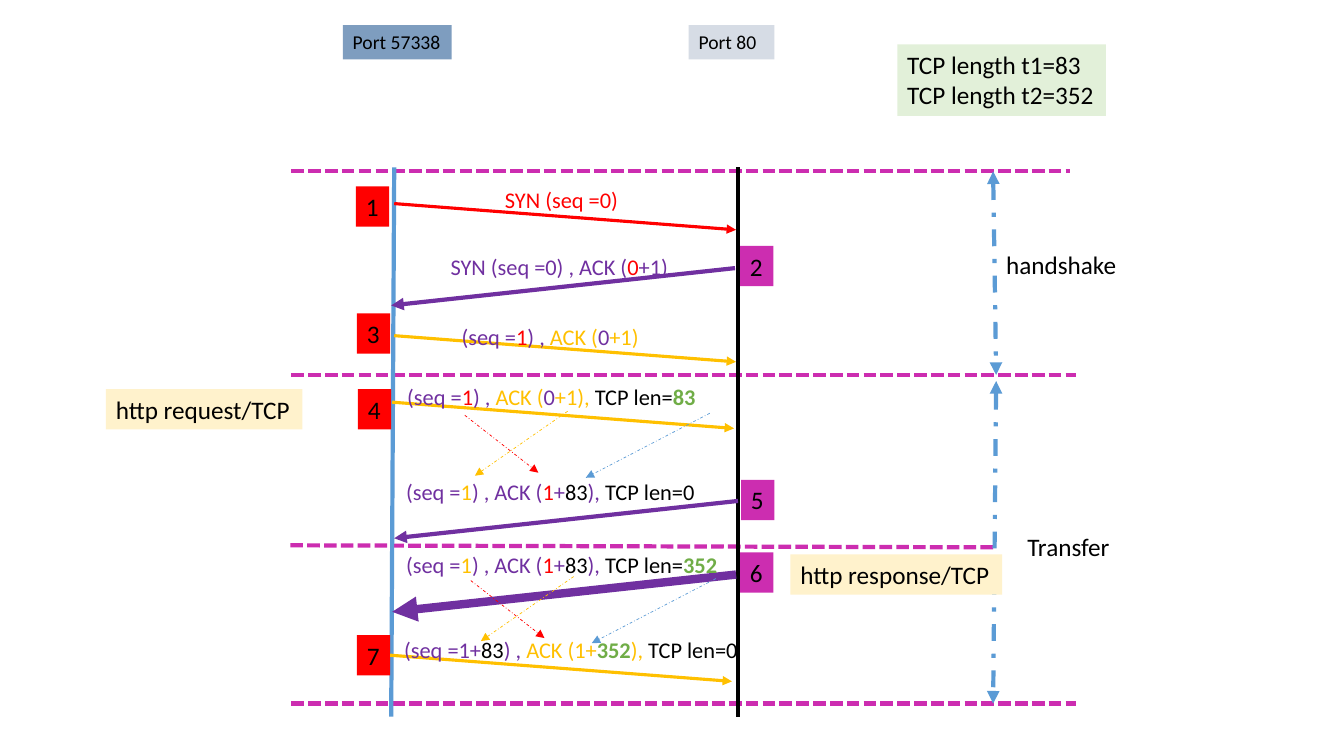
"""Build a slide showing the TCP handshake and transfer between two ports."""
from lxml import etree
from pptx import Presentation
from pptx.dml.color import RGBColor
from pptx.enum.dml import MSO_LINE
from pptx.enum.shapes import MSO_CONNECTOR, MSO_SHAPE
from pptx.enum.text import MSO_AUTO_SIZE, MSO_VERTICAL_ANCHOR, PP_ALIGN
from pptx.oxml.ns import qn
from pptx.util import Inches, Pt

STRAIGHT = MSO_CONNECTOR.STRAIGHT
RECTANGLE = MSO_SHAPE.RECTANGLE
SHORT_DASH = MSO_LINE.SQUARE_DOT
DASH_DOT = MSO_LINE.DASH_DOT
FIT = MSO_AUTO_SIZE.SHAPE_TO_FIT_TEXT
LEFT = PP_ALIGN.LEFT
TOP = MSO_VERTICAL_ANCHOR.TOP

BLACK = RGBColor(0x00, 0x00, 0x00)
RED = RGBColor(0xFF, 0x00, 0x00)
PURPLE = RGBColor(0x70, 0x30, 0xA0)
GOLD = RGBColor(0xFF, 0xC0, 0x00)
GREEN = RGBColor(0x70, 0xAD, 0x47)
BLUE = RGBColor(0x5B, 0x9B, 0xD5)
MAGENTA = RGBColor(0xCC, 0x2D, 0xB0)
STEEL = RGBColor(0x7E, 0x9D, 0xBF)
MIST = RGBColor(0xD6, 0xDC, 0xE5)
CREAM = RGBColor(0xFF, 0xF2, 0xCC)
MINT = RGBColor(0xE2, 0xF0, 0xD9)

ACK_OF_83 = [("(seq =", PURPLE), ("1", GOLD), (") , ACK (", PURPLE), ("1", RED),
             ("+", PURPLE), ("83", BLACK), ("), ", PURPLE)]
SEQ_1 = [("(seq =", PURPLE), ("1", RED), (") , ", PURPLE), ("ACK (", GOLD), ("0", PURPLE)]

# number, arrow start, badge corner, label (left, top, width), colour, weight, runs
MESSAGES = [
    (1, (0.03, 0.36), (-0.35, 0.19), (1.03, 0.14, 1.7), RED, 2.25,
     [("SYN (seq =0)", RED)]),
    (2, (3.41, 1.0), (3.46, 0.78), (0.49, 0.8, 2.61), PURPLE, 3,
     [("SYN (seq =0) , ACK (", PURPLE), ("0", RED), ("+1)", PURPLE)]),
    (3, (0.03, 1.67), (-0.34, 1.45), (0.6, 1.5, 2.2), GOLD, 2.25,
     SEQ_1 + [("+1)", GOLD)]),
    (4, (0.01, 2.33), (-0.33, 2.2), (0.06, 2.09, 3.39), GOLD, 2.25,
     SEQ_1 + [("+1), ", GOLD), ("TCP len=", BLACK), ("83", GREEN)]),
    (5, (3.44, 3.31), (3.47, 3.1), (0.05, 3.03, 3.37), PURPLE, 3,
     ACK_OF_83 + [("TCP len=0", BLACK)]),
    (6, (3.42, 4.04), (3.46, 3.82), (0.05, 3.76, 3.53), PURPLE, 6,
     ACK_OF_83 + [("TCP len=", BLACK), ("352", GREEN)]),
    (7, (-0.01, 4.84), (-0.34, 4.64), (0.03, 4.6, 3.69), GOLD, 2.25,
     [("(seq =1+", PURPLE), ("83", BLACK), (") , ", PURPLE), ("ACK (1+", GOLD),
      ("352", GREEN), ("), ", GOLD), ("TCP len=0", BLACK)]),
]
JOINED_MESSAGE = 7
TRACES = [
    (0.73, 2.46, 1.46, 3.03, RED),
    (3.16, 2.44, 1.93, 3.08, BLUE),
    (1.75, 2.42, 0.83, 3.06, GOLD),
]


def add_line(slide, x1, y1, x2, y2, color, weight, dash=None, ends=()):
    """Draw a straight line with optional dash and arrowheads."""
    line = slide.shapes.add_connector(STRAIGHT, Inches(x1), Inches(y1), Inches(x2), Inches(y2))
    line.line.color.rgb = color
    line.line.width = Pt(weight)
    if dash is not None:
        line.line.dash_style = dash
    for end in ends:
        etree.SubElement(line.get_or_add_ln(), qn(end), type="triangle")
    etree.SubElement(line._element.spPr, qn("a:effectLst"))
    return line


def add_label(slide, left, top, width, height, paragraphs, size=18, fill=None, wrap=False):
    """Place coloured text, on a filled rectangle when a fill is given."""
    box = Inches(left), Inches(top), Inches(width), Inches(height)
    if fill is None:
        label = slide.shapes.add_textbox(*box)
    else:
        label = slide.shapes.add_shape(RECTANGLE, *box)
        label.shadow.inherit = False
        label.fill.solid()
        label.fill.fore_color.rgb = fill
        label.line.fill.background()
    frame = label.text_frame
    frame.word_wrap = wrap
    frame.auto_size = FIT
    frame.vertical_anchor = TOP
    for index, runs in enumerate(paragraphs):
        paragraph = frame.add_paragraph() if index else frame.paragraphs[0]
        paragraph.alignment = LEFT
        for text, color in runs:
            run = paragraph.add_run()
            run.text = text
            run.font.name = "Calibri"
            run.font.size = Pt(size)
            run.font.bold = color == GREEN
            run.font.color.rgb = color
    return label


def add_ports(slide, left, top):
    """Name the two ports above their lifelines."""
    for offset, width, name, fill in ((0, 1.08, "Port 57338", STEEL), (3.43, 0.85, "Port 80", MIST)):
        add_label(slide, left + offset, top, width, 0.34, [[(name, BLACK)]], 14, fill, True)


def add_phases(slide, left, top):
    """Mark the handshake and transfer phases with dividers and spans."""
    for x1, y1, x2, y2 in ((0.01, 0, 7.73, 0), (0.01, 2.02, 7.79, 2.02),
                           (0, 3.71, 6.97, 3.73), (0.01, 5.28, 7.79, 5.28)):
        add_line(slide, left + x1, top + y1, left + x2, top + y2, MAGENTA, 3, SHORT_DASH)
    for x1, y1, x2, y2 in ((6.97, 0, 7, 2.02), (7, 2.08, 6.97, 5.28)):
        add_line(slide, left + x1, top + y1, left + x2, top + y2, BLUE, 3, DASH_DOT,
                 ("a:headEnd", "a:tailEnd"))
    add_label(slide, left + 7, top + 0.72, 1.31, 0.4, [[("handshake", BLACK)]])
    add_label(slide, left + 7.21, top + 3.52, 1.31, 0.4, [[("Transfer", BLACK)]], wrap=True)


def add_message(slide, left, top, message):
    """Draw one numbered message with its badge, arrow and label."""
    number, (x, y), (badge_x, badge_y), (label_x, label_y, width), color, weight, runs = message
    from_client = number not in (2, 5, 6)
    run, drop = (3.39, 0.26) if from_client else (-3.41, 0.37)
    badge = add_label(slide, left + badge_x, top + badge_y, 0.33, 0.4,
                      [[(str(number), BLACK)]], fill=RED if from_client else MAGENTA)
    arrow = add_line(slide, left + x, top + y, left + x + run, top + y + drop,
                     color, weight, ends=("a:tailEnd",))
    if number == JOINED_MESSAGE:
        arrow.begin_connect(badge, 3)
    add_label(slide, left + label_x, top + label_y, width, 0.37, [runs], 16, wrap=True)


def add_exchange(slide, left, top):
    """Draw the lifelines, all messages and the value traces between them."""
    add_line(slide, left + 0.03, top, left, top + 5.45, BLUE, 3)
    add_line(slide, left + 3.44, top, left + 3.44, top + 5.45, BLACK, 3)
    for message in MESSAGES:
        add_message(slide, left, top, message)
    for dx, dy in ((0, 0), (0.06, 1.64)):
        for x1, y1, x2, y2, color in TRACES:
            add_line(slide, left + dx + x1, top + dy + y1, left + dx + x2, top + dy + y2,
                     color, 0.5, DASH_DOT, ("a:tailEnd",))


def add_notes(slide, left, top):
    """Place the HTTP captions and the length summary."""
    add_label(slide, left, top + 3.42, 1.95, 0.4, [[("http request/TCP", BLACK)]], fill=CREAM)
    add_label(slide, left + 6.79, top + 5.06, 2.1, 0.4, [[("http response/TCP", BLACK)]], fill=CREAM)
    add_label(slide, left + 7.85, top, 2.07, 0.71,
              [[("TCP length t1=83", BLACK)], [("TCP length t2=352", BLACK)]], fill=MINT)


def main():
    """Assemble and save the slide."""
    deck = Presentation()
    deck.slide_width, deck.slide_height = Inches(13.33), Inches(7.5)
    slide = deck.slides.add_slide(deck.slide_layouts[6])
    add_ports(slide, 3.4, 0.25)
    add_phases(slide, 2.88, 1.7)
    add_exchange(slide, 3.88, 1.66)
    add_notes(slide, 1.05, 0.44)
    deck.save("out.pptx")


if __name__ == "__main__":
    main()
